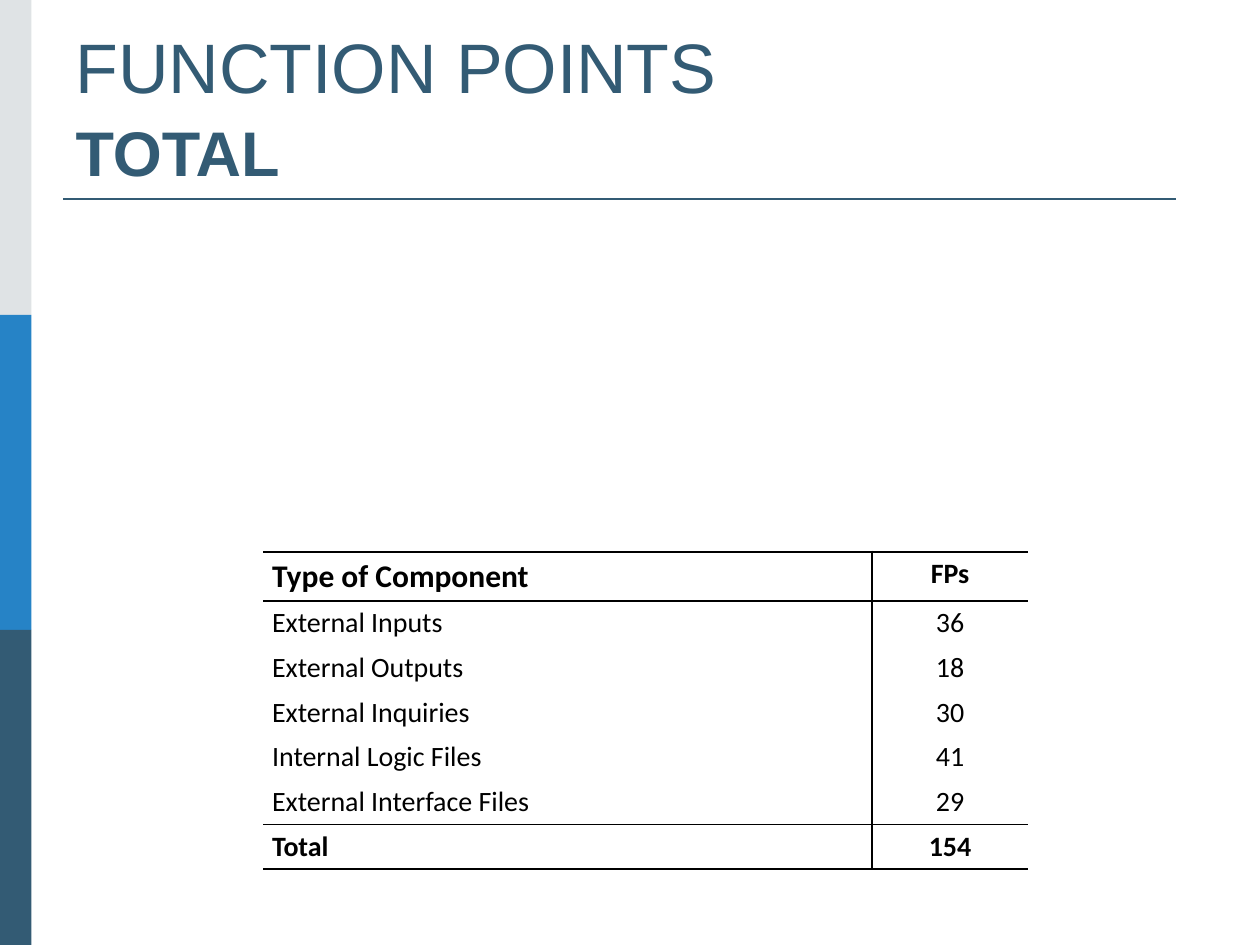
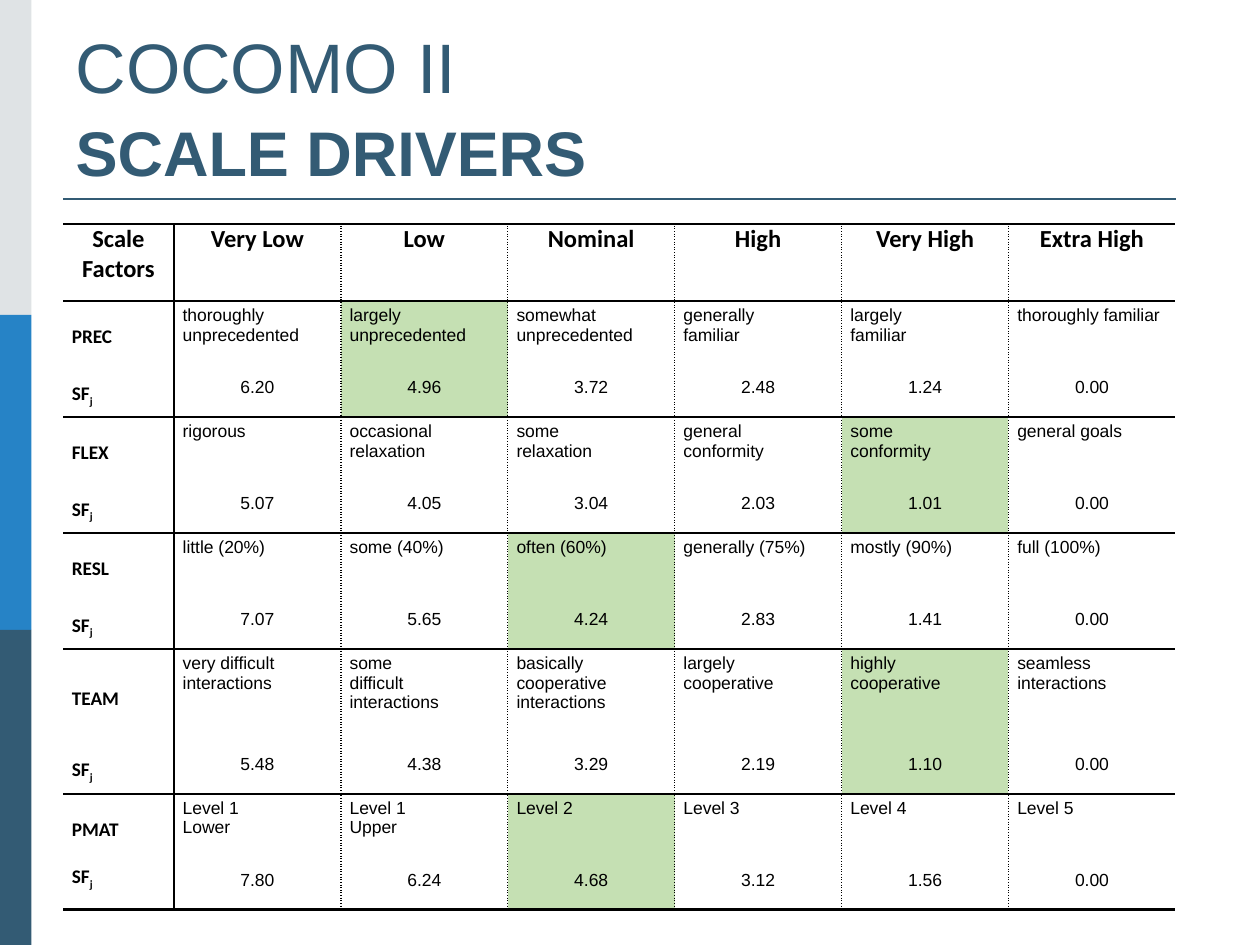
from dataclasses import dataclass

from lxml import etree
from pptx import Presentation
from pptx.dml.color import RGBColor
from pptx.enum.shapes import MSO_CONNECTOR, MSO_SHAPE
from pptx.enum.text import MSO_ANCHOR, PP_ALIGN
from pptx.oxml.ns import qn
from pptx.util import Inches, Pt

RECTANGLE, STRAIGHT = MSO_SHAPE.RECTANGLE, MSO_CONNECTOR.STRAIGHT
TOP, MIDDLE, BOTTOM = MSO_ANCHOR.TOP, MSO_ANCHOR.MIDDLE, MSO_ANCHOR.BOTTOM
LEFT, CENTER = PP_ALIGN.LEFT, PP_ALIGN.CENTER
NAVY, BLUE, GREY = "335B74", "2683C6", "DFE3E5"
BLACK, GREEN = "000000", "C5E0B3"
HEADING_FONT, TABLE_FONT = "Arial", "Calibri"
SIDE_BANDS = (GREY, BLUE, NAVY)
BAND_WIDTH, BAND_HEIGHT = 0.25, 2.5


@dataclass(frozen=True)
class Rule:
    """A table border line."""
    width: float
    dash: str = "solid"


@dataclass(frozen=True)
class Grid:
    """Place, track sizes and border lines of a table."""
    left: float
    top: float
    columns: list[float]
    rows: list[float]
    horizontals: dict[int, Rule]
    verticals: dict[int, Rule]


@dataclass(frozen=True)
class ScaleFactor:
    """One scale driver with its rating levels, values and chosen rating."""
    code: str
    levels: tuple[str, ...]
    values: str
    chosen: int
    height: float = 0.57


THIN, THICK, DOTTED = Rule(1), Rule(1.5), Rule(1, "sysDot")

COMPONENTS = [
    ("External Inputs", 36),
    ("External Outputs", 18),
    ("External Inquiries", 30),
    ("Internal Logic Files", 41),
    ("External Interface Files", 29),
]

RATINGS = ("Very Low", "Low", "Nominal", "High", "Very High", "Extra High")

SCALE_FACTORS = [
    ScaleFactor(
        "PREC",
        ("thoroughly\nunprecedented", "largely\nunprecedented",
         "somewhat\nunprecedented", "generally\nfamiliar",
         "largely\nfamiliar", "thoroughly familiar"),
        "6.20 4.96 3.72 2.48 1.24 0.00", 1),
    ScaleFactor(
        "FLEX",
        ("rigorous", "occasional\nrelaxation", "some\nrelaxation",
         "general\nconformity", "some\nconformity", "general goals"),
        "5.07 4.05 3.04 2.03 1.01 0.00", 4),
    ScaleFactor(
        "RESL",
        ("little (20%)", "some (40%)", "often (60%)",
         "generally (75%)", "mostly (90%)", "full (100%)"),
        "7.07 5.65 4.24 2.83 1.41 0.00", 2),
    ScaleFactor(
        "TEAM",
        ("very difficult\ninteractions", "some\ndifficult\ninteractions",
         "basically\ncooperative\ninteractions", "largely\ncooperative",
         "highly\ncooperative", "seamless\ninteractions"),
        "5.48 4.38 3.29 2.19 1.10 0.00", 4, 0.8),
    ScaleFactor(
        "PMAT",
        ("Level 1\nLower", "Level 1\nUpper", "Level 2",
         "Level 3", "Level 4", "Level 5"),
        "7.80 6.24 4.68 3.12 1.56 0.00", 2),
]


def color(hex_code: str) -> RGBColor:
    """Turn a hex string into a colour."""
    return RGBColor.from_string(hex_code)


def write(paragraph, text: str, *, size: float, font: str = TABLE_FONT,
          ink: str = BLACK, bold: bool = False, subscript: bool = False) -> None:
    """Append one formatted run to a paragraph."""
    run = paragraph.add_run()
    run.text = text
    run.font.size = Pt(size)
    run.font.name = font
    run.font.bold = bold
    run.font.color.rgb = color(ink)
    if subscript:
        run.font._element.set("baseline", "-25000")


def add_frame(slide) -> None:
    """Draw the side bands and the line below the title."""
    for index, fill in enumerate(SIDE_BANDS):
        band = slide.shapes.add_shape(
            RECTANGLE, Inches(0), Inches(index * BAND_HEIGHT),
            Inches(BAND_WIDTH), Inches(BAND_HEIGHT))
        band.shadow.inherit = False
        band.fill.solid()
        band.fill.fore_color.rgb = color(fill)
        band.line.fill.background()
    underline = slide.shapes.add_connector(
        STRAIGHT, Inches(0.5), Inches(1.58), Inches(9.33), Inches(1.58))
    underline.line.color.rgb = color(NAVY)
    underline.line.width = Pt(1.5)
    etree.SubElement(underline._element.spPr, qn("a:effectLst"))


def add_titled_slide(deck, topic: str, subtopic: str):
    """Add a slide with the shared frame and a two-line title."""
    slide = deck.slides.add_slide(deck.slide_layouts[5])
    add_frame(slide)
    title = slide.shapes.title
    title.left, title.top = Inches(0.5), Inches(0.3)
    title.width, title.height = Inches(9), Inches(1.25)
    title.text_frame.vertical_anchor = BOTTOM
    heading = title.text_frame.paragraphs[0]
    heading.alignment = LEFT
    heading.line_spacing = 1.08
    write(heading, topic, size=40, font=HEADING_FONT, ink=NAVY)
    heading.add_line_break()
    write(heading, subtopic, size=36, font=HEADING_FONT, ink=NAVY, bold=True)
    return slide


def set_borders(cell, rules: dict[str, Rule | None]) -> None:
    """Give a cell its borders, with none where the rule is missing."""
    properties = cell._tc.get_or_add_tcPr()
    for position, (side, rule) in enumerate(rules.items()):
        border = etree.Element(qn(f"a:ln{side}"))
        properties.insert(position, border)
        if rule is None:
            etree.SubElement(border, qn("a:noFill"))
            continue
        border.set("w", str(Pt(rule.width)))
        fill = etree.SubElement(border, qn("a:solidFill"))
        etree.SubElement(fill, qn("a:srgbClr"), val=BLACK)
        etree.SubElement(border, qn("a:prstDash"), val=rule.dash)


def add_grid(slide, grid: Grid):
    """Add an unfilled table with the borders of the grid."""
    table = slide.shapes.add_table(
        len(grid.rows), len(grid.columns), Inches(grid.left), Inches(grid.top),
        Inches(sum(grid.columns)), Inches(sum(grid.rows))).table
    table.first_row = table.horz_banding = False
    for column, width in zip(table.columns, grid.columns):
        column.width = Inches(width)
    for r, height in enumerate(grid.rows):
        table.rows[r].height = Inches(height)
        for c in range(len(grid.columns)):
            cell = table.cell(r, c)
            cell.fill.background()
            set_borders(cell, {
                "L": grid.verticals.get(c), "R": grid.verticals.get(c + 1),
                "T": grid.horizontals.get(r), "B": grid.horizontals.get(r + 1)})
    return table


def fill_cell(cell, text: str, *, align=LEFT, anchor=TOP, padding: float = 0.04,
              fill: str | None = None, **style) -> None:
    """Write the lines of a cell as paragraphs and lay them out."""
    cell.margin_left = cell.margin_right = Inches(0.07)
    cell.margin_top = cell.margin_bottom = Inches(padding)
    cell.vertical_anchor = anchor
    if fill:
        cell.fill.solid()
        cell.fill.fore_color.rgb = color(fill)
    for index, line in enumerate(text.split("\n")):
        frame = cell.text_frame
        paragraph = frame.add_paragraph() if index else frame.paragraphs[0]
        paragraph.alignment = align
        write(paragraph, line, **style)


def add_function_points(deck) -> None:
    """Build the slide with the function point total."""
    slide = add_titled_slide(deck, "FUNCTION POINTS", "TOTAL")
    total_row = len(COMPONENTS) + 1
    table = add_grid(slide, Grid(
        2.09, 4.38, [4.83, 1.24], [0.39] + [0.355] * total_row,
        {0: THICK, 1: THICK, total_row: THIN, total_row + 1: THICK}, {1: THIN}))
    fill_cell(table.cell(0, 0), "Type of Component", anchor=MIDDLE, size=18, bold=True)
    fill_cell(table.cell(0, 1), "FPs", align=CENTER, size=16, bold=True)
    total = sum(points for _, points in COMPONENTS)
    for r, (component, points) in enumerate(COMPONENTS + [("Total", total)], start=1):
        is_total = r == total_row
        anchor = MIDDLE if is_total else TOP
        fill_cell(table.cell(r, 0), component, anchor=anchor, size=16, bold=is_total)
        fill_cell(table.cell(r, 1), str(points), align=CENTER, anchor=anchor,
                  size=16, bold=is_total)


def add_scale_drivers(deck) -> None:
    """Build the slide with the scale driver ratings."""
    slide = add_titled_slide(deck, "COCOMO II", "SCALE DRIVERS")
    heights = [0.61]
    for factor in SCALE_FACTORS:
        heights += [factor.height, 0.35]
    horizontals = {0: THICK} | {r: THICK for r in range(1, len(heights) + 1, 2)}
    verticals = {1: THICK} | {c: DOTTED for c in range(2, len(RATINGS) + 1)}
    table = add_grid(slide, Grid(
        0.5, 1.78, [0.88] + [1.325] * len(RATINGS), heights, horizontals, verticals))
    for c, header in enumerate(("Scale Factors",) + RATINGS):
        fill_cell(table.cell(0, c), header, align=CENTER, padding=0, size=14, bold=True)
    for index, factor in enumerate(SCALE_FACTORS):
        r = 2 * index + 1
        value_anchor = TOP if factor is SCALE_FACTORS[-1] else MIDDLE
        fill_cell(table.cell(r, 0), factor.code, anchor=MIDDLE, padding=0,
                  size=11, bold=True)
        symbol = table.cell(r + 1, 0)
        fill_cell(symbol, "SF", anchor=value_anchor, padding=0, size=11, bold=True)
        write(symbol.text_frame.paragraphs[0], "j", size=11, bold=True, subscript=True)
        for c, (level, value) in enumerate(zip(factor.levels, factor.values.split())):
            fill = GREEN if c == factor.chosen else None
            fill_cell(table.cell(r, c + 1), level, fill=fill, size=10, font=HEADING_FONT)
            fill_cell(table.cell(r + 1, c + 1), value, align=CENTER, fill=fill,
                      size=10, font=HEADING_FONT)


def main() -> None:
    """Build and save the deck."""
    deck = Presentation()
    deck.slide_width, deck.slide_height = Inches(10), Inches(7.5)
    add_function_points(deck)
    add_scale_drivers(deck)
    deck.save("out.pptx")


if __name__ == "__main__":
    main()
